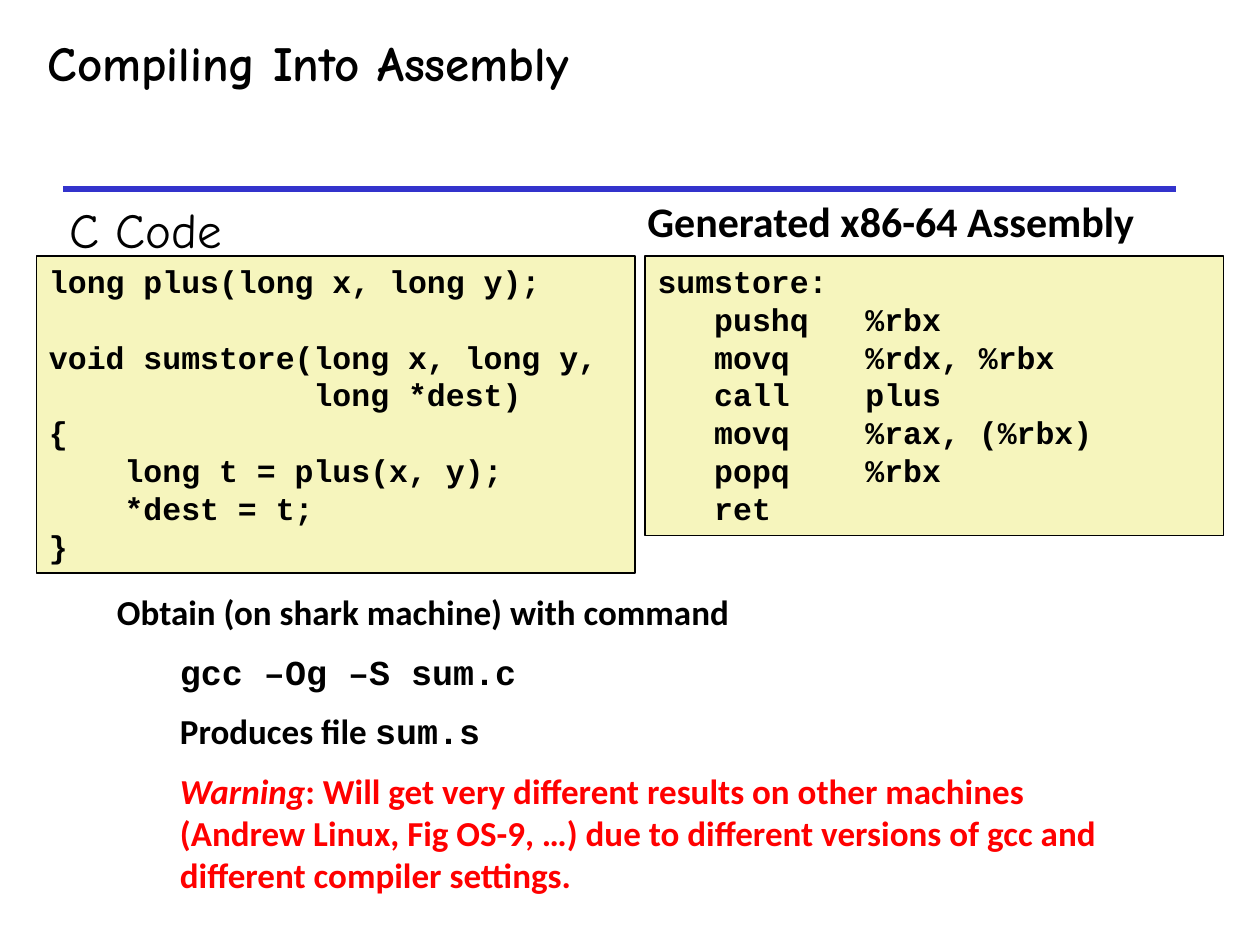
from lxml.etree import SubElement
from pptx import Presentation
from pptx.dml.color import RGBColor as RGB
from pptx.enum.shapes import MSO_CONNECTOR as CONNECTOR, MSO_SHAPE as SHAPE
from pptx.enum.text import MSO_ANCHOR as ANCHOR, MSO_AUTO_SIZE as FIT, PP_ALIGN as ALIGN
from pptx.oxml.ns import qn
from pptx.util import Inches, Pt

COLORS = {"ink": "000000", "rule": "3333CC", "code_fill": "F6F5BD", "warning": "FF0000"}
COLUMNS, ROWS = 100, 75

TITLE = {"name": "Comic Neue", "size": Pt(28), "bold": True}
CAPTION = {**TITLE, "bold": False}
HEADING = {"name": "Calibri", "size": Pt(24), "bold": True}
NOTE = {**HEADING, "size": Pt(20)}
COMMAND = {**NOTE, "name": "Courier New"}
CODE = {**COMMAND, "size": Pt(18)}

C_SOURCE = """long plus(long x, long y);

void sumstore(long x, long y,
              long *dest)
{
    long t = plus(x, y);
    *dest = t;
}"""

ASSEMBLY = """sumstore:
   pushq   %rbx
   movq    %rdx, %rbx
   call    plus
   movq    %rax, (%rbx)
   popq    %rbx
   ret"""


class CodeSlide:
    def __init__(self, deck):
        self.slide = deck.slides.add_slide(deck.slide_layouts[1])
        self.shapes = self.slide.shapes
        self.column = deck.slide_width / COLUMNS
        self.row = deck.slide_height / ROWS

    def area(self, left, top, width, height):
        """Turn grid columns and rows into slide lengths."""
        return (int(left * self.column), int(top * self.row),
                int(width * self.column), int(height * self.row))

    def frame(self, shape, anchor=ANCHOR.TOP):
        frame = shape.text_frame
        layout = {"word_wrap": True, "auto_size": FIT.NONE, "vertical_anchor": anchor,
                  "margin_left": Inches(0.1), "margin_right": Inches(0.1),
                  "margin_top": Inches(0.05), "margin_bottom": Inches(0.05)}
        for key, value in layout.items():
            setattr(frame, key, value)
        return frame

    def fill_text(self, frame, paragraphs, indent=0, gap=0):
        """Set paragraphs of (text, style, color) runs; all but the first are indented."""
        for index, runs in enumerate(paragraphs):
            paragraph = frame.add_paragraph() if index else frame.paragraphs[0]
            properties = paragraph._p.get_or_add_pPr()
            properties.set("marL", str(Inches(indent if index else 0)))
            properties.set("indent", "0")
            SubElement(properties, qn("a:buNone"))
            paragraph.alignment = ALIGN.LEFT
            paragraph.space_before = Pt(gap if index else 0)
            for text, style, color in runs:
                run = paragraph.add_run()
                run.text = text
                for key, value in style.items():
                    setattr(run.font, key, value)
                run.font.color.rgb = RGB.from_string(COLORS[color])

    def placeholder(self, index, text, style, area, anchor):
        holder = self.slide.placeholders[index]
        holder.left, holder.top, holder.width, holder.height = self.area(*area)
        self.fill_text(self.frame(holder, anchor), [[(text, style, "ink")]])

    def text(self, paragraphs, area, **spacing):
        box = self.shapes.add_textbox(*self.area(*area))
        self.fill_text(self.frame(box), paragraphs, **spacing)

    def code(self, source, area):
        panel = self.shapes.add_shape(SHAPE.RECTANGLE, *self.area(*area))
        panel.shadow.inherit = False
        panel.fill.solid()
        panel.fill.fore_color.rgb = RGB.from_string(COLORS["code_fill"])
        panel.line.color.rgb = RGB.from_string(COLORS["ink"])
        panel.line.width = Pt(1)
        lines = [[(line, CODE, "ink")] if line else [] for line in source.split("\n")]
        self.fill_text(self.frame(panel), lines)
        for paragraph in panel.text_frame.paragraphs:
            if not paragraph.runs:
                SubElement(paragraph._p, qn("a:endParaRPr"), sz="1800")

    def rule(self, left, right, row):
        start, level, length, _ = self.area(left, row, right - left, 0)
        line = self.shapes.add_connector(CONNECTOR.STRAIGHT, start, level,
                                         start + length, level)
        line.line.color.rgb = RGB.from_string(COLORS["rule"])
        line.line.width = Pt(3)
        SubElement(line._element.spPr, qn("a:effectLst"))


def main():
    deck = Presentation()
    deck.slide_width, deck.slide_height = Inches(10), Inches(7.5)
    page = CodeSlide(deck)

    page.rule(5, 93.3, 15)
    page.placeholder(0, "Compiling Into Assembly", TITLE, (2.8, 1.9, 74.9, 6.1), ANCHOR.MIDDLE)
    page.placeholder(1, "C Code", CAPTION, (4.5, 15.3, 26.7, 4), ANCHOR.TOP)
    page.code(C_SOURCE, (2.9, 20.3, 47.5, 25.2))
    page.text([[("Generated x86-64 Assembly", HEADING, "ink")]], (50.4, 15, 45, 4.5))
    page.code(ASSEMBLY, (51.2, 20.3, 45.9, 22.2))

    warning = (": Will get very different results on other machines (Andrew Linux, "
               "Fig OS-9, …) due to different versions of gcc and different "
               "compiler settings.")
    page.text([
        [("Obtain (on shark machine) with command", NOTE, "ink")],
        [("gcc –Og –S sum.c", COMMAND, "ink")],
        [("Produces file ", NOTE, "ink"), ("sum.s", COMMAND, "ink")],
        [("Warning", {**NOTE, "italic": True}, "warning"), (warning, NOTE, "warning")],
    ], (8.3, 46.4, 81.7, 26), indent=0.5, gap=10)

    deck.save("out.pptx")


if __name__ == "__main__":
    main()
